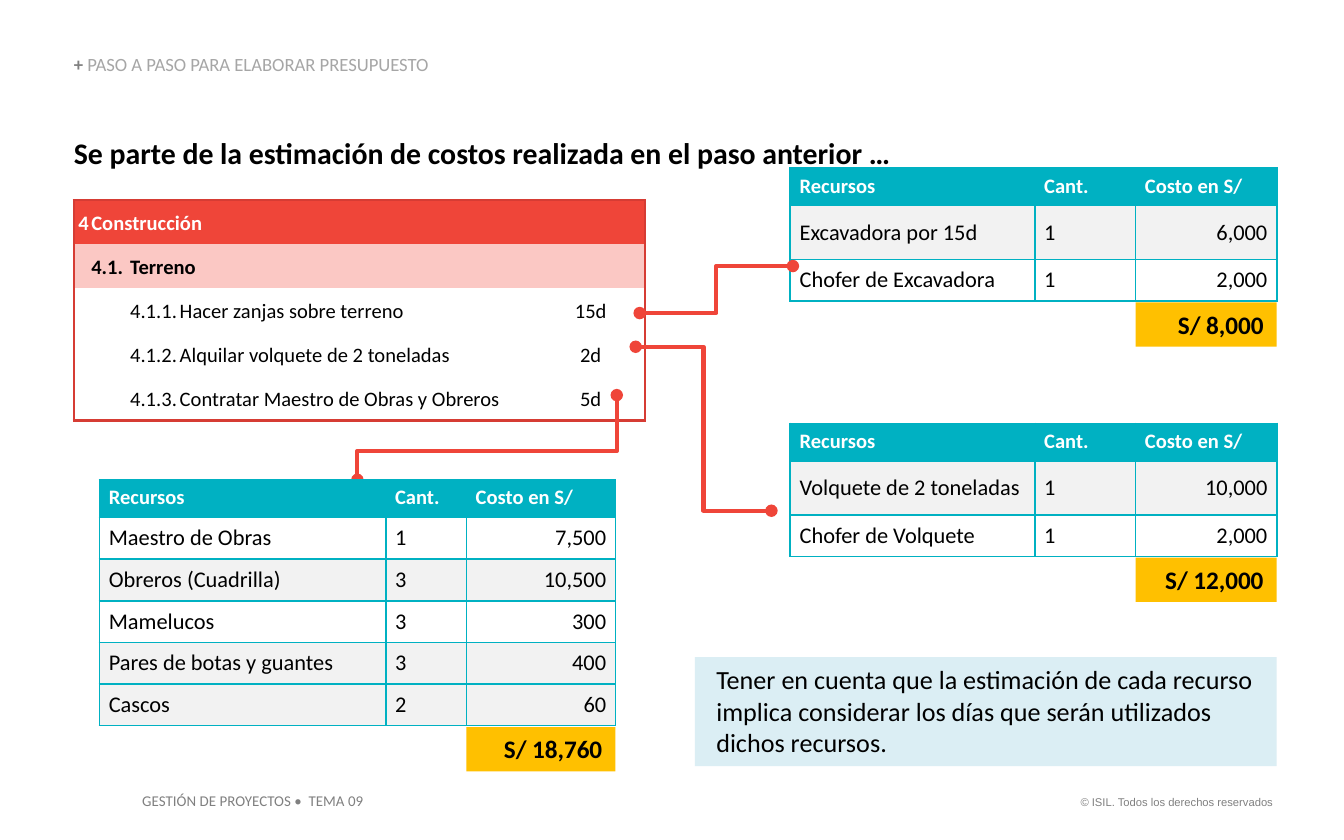
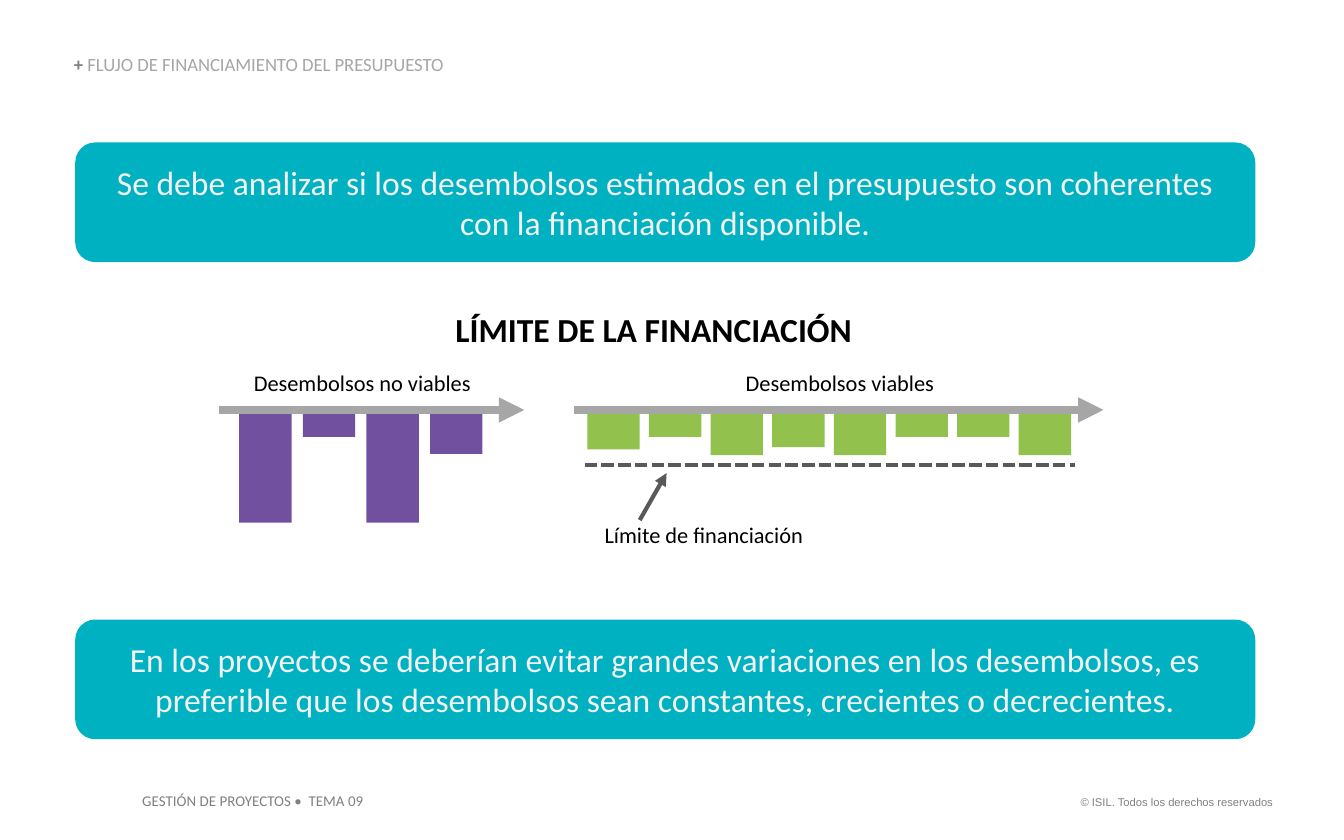
from dataclasses import dataclass
from itertools import accumulate

from lxml.etree import SubElement
from pptx import Presentation
from pptx.dml.color import RGBColor
from pptx.enum.dml import MSO_LINE
from pptx.enum.shapes import MSO_CONNECTOR as Link, MSO_SHAPE as Kind
from pptx.enum.text import MSO_ANCHOR as Anchor, MSO_AUTO_SIZE as Fit, PP_ALIGN as Align
from pptx.oxml import parse_xml
from pptx.oxml.ns import nsdecls, qn
from pptx.util import Inches, Pt

# The slide is a grid of 100 columns by 62.5 rows of square cells.
COLS, ROWS = 100, 62.5
CELL = Inches(10) / COLS
PLAIN = "{2D5ABB26-0587-4C30-8999-92F81FD0307C}"


@dataclass(frozen=True)
class Theme:
    font: str = "Calibri"
    small: str = "Arial"
    teal: str = "00B1C2"
    red: str = "EF4539"
    brick: str = "D63C34"
    pink: str = "FBC8C4"
    gold: str = "FFC000"
    sky: str = "DBEEF4"
    plum: str = "7150A0"
    green: str = "92C14E"
    black: str = "000000"
    white: str = "FFFFFF"
    pale: str = "F2F2F2"
    silver: str = "A6A6A6"
    gray: str = "808080"
    dark: str = "595959"
    tiny: float = 6
    foot: float = 8
    crumb: float = 10
    head: float = 11
    body: float = 12
    total: float = 13.5
    note: float = 14
    lead: float = 16
    big: float = 18


T = Theme()


@dataclass(frozen=True)
class Box:
    x: float
    y: float
    w: float
    h: float

    def emu(self):
        return [unit(n) for n in (self.x, self.y, self.w, self.h)]


def unit(n):
    return round(n * CELL)


def rgb(code):
    return RGBColor.from_string(code)


def style(run, size, color, bold=False, font=T.font):
    run.font.name, run.font.size, run.font.bold = font, Pt(size), bold
    run.font.color.rgb = rgb(color)


def write(frame, text, size, color=T.black, bold=False, align=Align.LEFT, font=T.font):
    frame.text = text
    for para in frame.paragraphs:
        para.alignment = align
        for run in para.runs:
            style(run, size, color, bold, font)


def inset(part, side, top, base=None):
    """Set the margins, in inches, of a text frame or a table cell."""
    part.margin_left = part.margin_right = Inches(side)
    part.margin_top = Inches(top)
    part.margin_bottom = Inches(top if base is None else base)


def label(slide, box, text, size, wrap=False, **look):
    frame = slide.shapes.add_textbox(*box.emu()).text_frame
    frame.word_wrap = wrap
    write(frame, text, size, **look)
    return frame


def block(slide, box, fill, kind=Kind.RECTANGLE):
    shape = slide.shapes.add_shape(kind, *box.emu())
    shape.shadow.inherit = False
    shape.fill.solid()
    shape.fill.fore_color.rgb = rgb(fill)
    shape.line.fill.background()
    return shape


def wire(slide, kind, start, end, color, width, head=None, tail=None, dash=None):
    line = slide.shapes.add_connector(kind, *map(unit, (*start, *end)))
    line.line.color.rgb = rgb(color)
    line.line.width = Pt(width)
    if dash:
        line.line.dash_style = dash
    props = line._element.spPr
    for tag, tip in (("a:headEnd", head), ("a:tailEnd", tail)):
        if tip:
            SubElement(props.find(qn("a:ln")), qn(tag), type=tip)
    SubElement(props, qn("a:effectLst"))
    return line


def elbow(slide, start, end):
    return wire(slide, Link.ELBOW, start, end, T.red, 2.25, "oval", "oval")


def drop(slide, start, end, bend):
    """Elbow that leaves downwards and to the left: a quarter turn of the plain one."""
    mid_x, mid_y = (start[0] + end[0]) / 2, (start[1] + end[1]) / 2
    dx, dy = (end[1] - start[1]) / 2, (start[0] - end[0]) / 2
    line = elbow(slide, (mid_x + dx, mid_y + dy), (mid_x - dx, mid_y - dy))
    props = line._element.spPr
    props.find(qn("a:xfrm")).set("rot", str(270 * 60000))
    shape = props.find(qn("a:prstGeom"))
    guides = shape.find(qn("a:avLst"))
    if guides is None:
        guides = SubElement(shape, qn("a:avLst"))
    SubElement(guides, qn("a:gd"), name="adj1", fmla=f"val {round(bend * 100000)}")


def grid(slide, box, cols, rows):
    """Unstyled table whose column and row weights fill the box."""
    frame = slide.shapes.add_table(len(rows), len(cols), *box.emu())
    table = frame.table
    table.first_row = table.horz_banding = False
    table._tbl.tblPr.find(qn("a:tableStyleId")).text = PLAIN
    for col, part in zip(table.columns, cols):
        col.width = unit(box.w * part / sum(cols))
    for row, part in zip(table.rows, rows):
        row.height = unit(box.h * part / sum(rows))
    return table


def paint(cell, fill):
    if fill:
        cell.fill.solid()
        cell.fill.fore_color.rgb = rgb(fill)
    else:
        cell.fill.background()


def edge(cell, sides, color, width):
    """Draw borders on the given sides, listed in the order L, R, T, B."""
    props = cell._tc.get_or_add_tcPr()
    for i, side in enumerate(sides):
        props.insert(i, parse_xml(
            f'<a:ln{side} {nsdecls("a")} w="{Pt(width)}"><a:solidFill>'
            f'<a:srgbClr val="{color}"/></a:solidFill></a:ln{side}>'))


def cost(slide, box, cols, rows, items, shaded, total):
    """Resource table with its sum under the last column."""
    table = grid(slide, box, cols, rows)
    for r, row in enumerate([("Recursos", "Cant.", "Costo en S/"), *items]):
        for c, text in enumerate(row):
            cell = table.cell(r, c)
            inset(cell, 0.07, 0.04)
            if r == 0:
                paint(cell, T.teal)
                write(cell.text_frame, text, T.head, T.white, True)
            else:
                paint(cell, T.pale if r in shaded else T.white)
                cell.vertical_anchor = Anchor.MIDDLE
                write(cell.text_frame, text, T.body,
                      align=Align.RIGHT if c == 2 else Align.LEFT)
            edge(cell, "LRTB", T.teal, 1)
    wide = box.w * cols[-1] / sum(cols)
    area = Box(box.x + box.w - wide, box.y + box.h + 0.1, wide, 3.3)
    frame = block(slide, area, T.gold).text_frame
    frame.vertical_anchor = Anchor.TOP
    write(frame, total, T.total, bold=True, align=Align.RIGHT)


def tasks(slide, box):
    """Work breakdown: phase, group and three dated tasks."""
    lines = [{0: "4", 1: "Construcción"},
             {1: "4.1.", 2: "Terreno"},
             {2: "4.1.1.", 3: "Hacer zanjas sobre terreno", 4: "15d"},
             {2: "4.1.2.", 3: "Alquilar volquete de 2 toneladas", 4: "2d"},
             {2: "4.1.3.", 3: "Contratar Maestro de Obras y Obreros", 4: "5d"}]
    fills = [T.red, T.pink, None, None, None]
    table = grid(slide, box, (1.2, 2.9, 3.7, 26.7, 8.1), [1] * 5)
    table.cell(0, 1).merge(table.cell(0, 3))
    table.cell(1, 2).merge(table.cell(1, 3))
    for r, line in enumerate(lines):
        for c in range(5):
            cell = table.cell(r, c)
            inset(cell, 0.01, 0.01, 0)
            cell.vertical_anchor = Anchor.MIDDLE
            paint(cell, fills[r])
            if c in line:
                align = {0: Align.RIGHT, 4: Align.CENTER}.get(c, Align.LEFT)
                write(cell.text_frame, line[c], T.head,
                      T.black if r else T.white, r < 2, align)
            rim = {"L": c == 0, "R": c == 4, "T": r == 0, "B": r == 4}
            edge(cell, [s for s in rim if rim[s]], T.brick, 1.5)


def flow(slide, box, fill, parts, pad, text, spot):
    """Bars hanging from a time arrow; pad is its overhang, spot the label's shift and width."""
    wide = 3.9
    step = (box.w - wide) / (len(parts) - 1)
    for i, part in enumerate(parts):
        block(slide, Box(box.x + i * step, box.y, wide, box.h * part), fill)
    wire(slide, Link.STRAIGHT, (box.x - pad[0], box.y),
         (box.x + box.w + pad[1], box.y), T.silver, 4.5, tail="triangle")
    label(slide, Box(box.x + spot[0], box.y - 3.5, spot[1], 3), text, T.body)


def banner(slide, box, text):
    frame = block(slide, box, T.teal, Kind.ROUNDED_RECTANGLE).text_frame
    frame.vertical_anchor = Anchor.MIDDLE
    write(frame, text, T.big, T.pale, align=Align.CENTER)


def page(deck, name):
    """New slide with the shared heading and footers."""
    slide = deck.slides.add_slide(deck.slide_layouts[5])
    title = slide.shapes.title
    title.left, title.top, title.width, title.height = Box(5.5, 4.1, 69.3, 1.5).emu()
    frame = title.text_frame
    frame.auto_size, frame.vertical_anchor = Fit.NONE, Anchor.BOTTOM
    inset(frame, 0, 0)
    write(frame, "+ ", T.crumb, T.gray, True)
    para = frame.paragraphs[0]
    para.line_spacing, para.space_before = 0.9, Pt(0)
    run = para.add_run()
    run.text = name
    style(run, T.crumb, T.silver)
    label(slide, Box(79.1, 58.7, 16.6, 2), "© ISIL. Todos los derechos reservados",
          T.tiny, color=T.gray, align=Align.RIGHT, font=T.small)
    label(slide, Box(9.6, 58.4, 18.5, 2.4), "GESTIÓN DE PROYECTOS •  TEMA 09",
          T.foot, color=T.gray)
    return slide


def budget(deck):
    slide = page(deck, "PASO A PASO PARA ELABORAR PRESUPUESTO")
    frame = label(slide, Box(5.5, 10, 88.1, 2.7),
                  "Se parte de la estimación de costos realizada en el paso anterior …",
                  T.lead, wrap=True, bold=True)
    inset(frame, 0, 0)
    cols, rows = (18.2, 7.5, 10.5), (2.8, 4, 3.1)
    cost(slide, Box(58.8, 12.5, 36.2, 9.9), cols, rows,
         [("Excavadora por 15d", "1", "6,000"), ("Chofer de Excavadora", "1", "2,000")],
         {1}, "S/ 8,000")
    tasks(slide, Box(5.5, 14.9, 42.5, 16.4))
    elbow(slide, (47.6, 23.3), (59, 19.8))
    elbow(slide, (47.3, 25.8), (57.4, 38))
    cost(slide, Box(58.8, 31.5, 36.2, 9.9), cols, rows,
         [("Volquete de 2 toneladas", "1", "10,000"), ("Chofer de Volquete", "1", "2,000")],
         {1}, "S/ 12,000")
    drop(slide, (45.9, 29.4), (26.6, 35.7), 0.66)
    cost(slide, Box(7.4, 35.7, 38.4, 18.3), (21.3, 6, 11.1), (2.8, *[3.1] * 5),
         [("Maestro de Obras", "1", "7,500"), ("Obreros (Cuadrilla)", "3", "10,500"),
          ("Mamelucos", "3", "300"), ("Pares de botas y guantes", "3", "400"),
          ("Cascos", "2", "60")], {2, 4, 5}, "S/ 18,760")
    frame = block(slide, Box(51.7, 48.9, 43.3, 8.1), T.sky).text_frame
    frame.vertical_anchor = Anchor.TOP
    inset(frame, 0.16, 0.05)
    write(frame, "Tener en cuenta que la estimación de cada recurso implica considerar "
          "los días que serán utilizados dichos recursos.", T.note)


def funding(deck):
    slide = page(deck, "FLUJO DE FINANCIAMIENTO DEL PRESUPUESTO")
    flow(slide, Box(17.8, 30.5, 18.1, 8.4), T.plum, (1, 0.24, 1, 0.39),
         (1.5, 3.1), "Desembolsos no viables", (0.1, 18.4))
    flow(slide, Box(43.7, 30.5, 36, 8.4), T.green,
         (0.35, 0.24, 0.4, 0.33, 0.4, 0.24, 0.24, 0.4),
         (1, 2.4), "Desembolsos viables", (10.8, 16.2))
    label(slide, Box(32.5, 22.5, 32.3, 4), "LÍMITE DE LA FINANCIACIÓN", T.big,
          wrap=True, bold=True, align=Align.CENTER)
    label(slide, Box(44, 38.3, 17, 3), "Límite de financiación", T.body)
    wire(slide, Link.STRAIGHT, (47.6, 38.7), (49.6, 35.2), T.dark, 2.25, tail="triangle")
    wire(slide, Link.STRAIGHT, (43.5, 34.6), (80, 34.6), T.dark, 2.25,
         dash=MSO_LINE.SQUARE_DOT)
    banner(slide, Box(5.6, 46.1, 87.8, 8.9),
           "En los proyectos se deberían evitar grandes variaciones en los desembolsos, es "
           "preferible que los desembolsos sean constantes, crecientes o decrecientes.")
    banner(slide, Box(5.6, 10.6, 87.8, 8.9),
           "Se debe analizar si los desembolsos estimados en el presupuesto son coherentes "
           "con la financiación disponible.")


def main():
    deck = Presentation()
    deck.slide_width, deck.slide_height = unit(COLS), unit(ROWS)
    budget(deck)
    funding(deck)
    deck.save("out.pptx")


if __name__ == "__main__":
    main()
